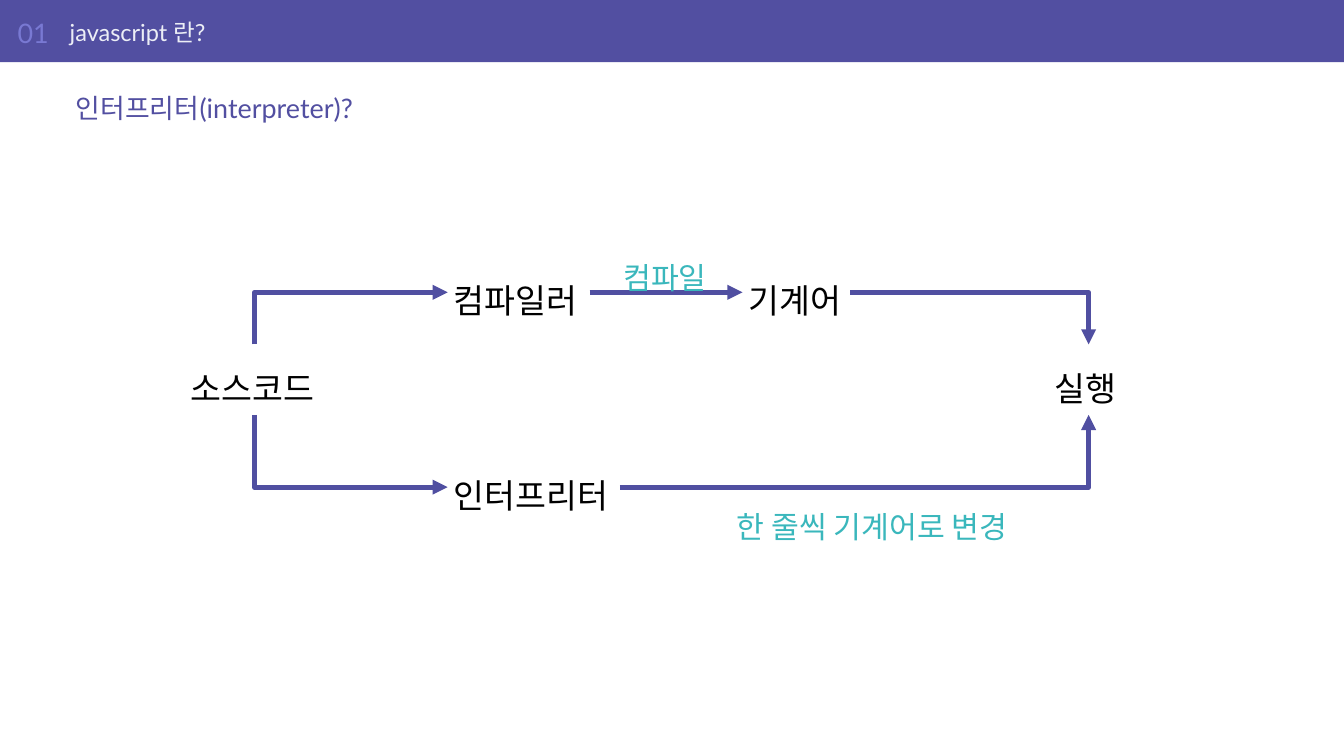
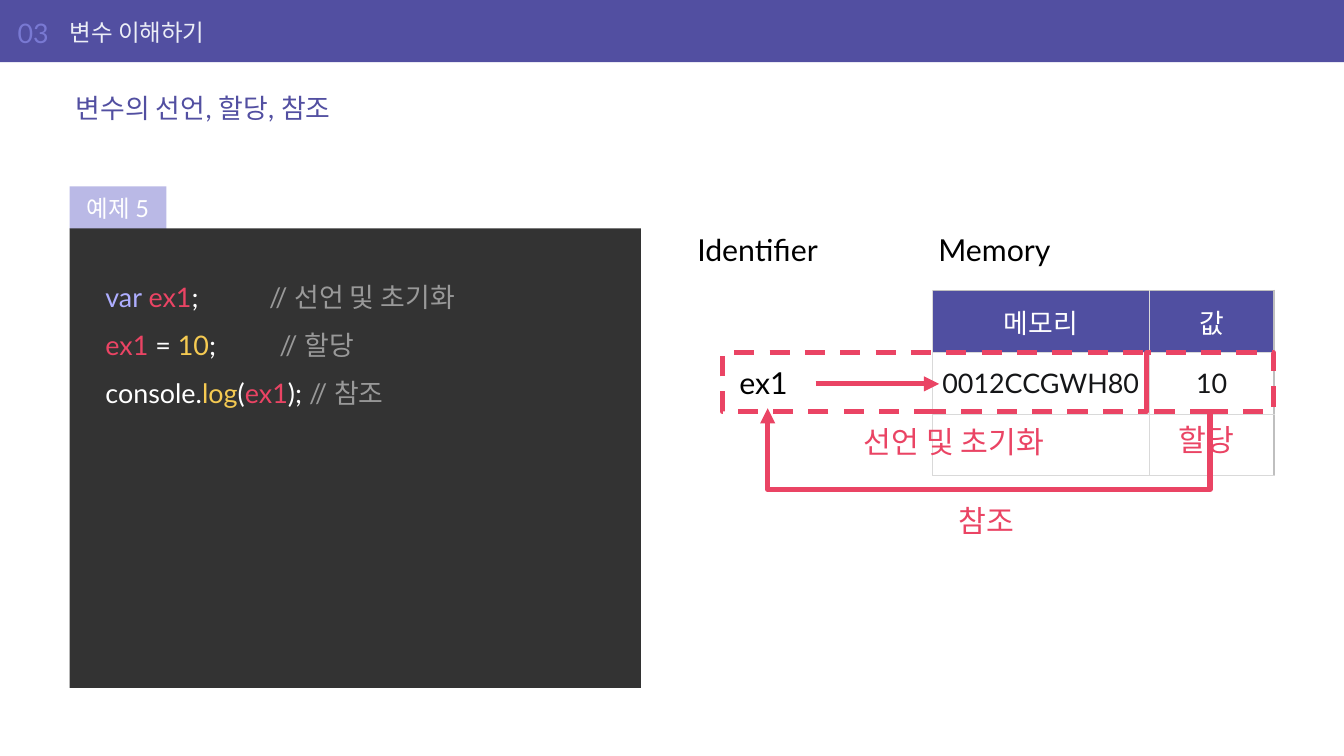
from dataclasses import dataclass

from lxml.etree import SubElement
from pptx import Presentation
from pptx.dml.color import RGBColor
from pptx.enum.dml import MSO_LINE
from pptx.enum.shapes import MSO_CONNECTOR, MSO_SHAPE
from pptx.enum.text import MSO_ANCHOR, PP_ALIGN
from pptx.oxml.ns import qn
from pptx.util import Pt


@dataclass(frozen=True)
class Theme:
    font: str = "Lato"
    band: str = "524FA1"
    flow: str = "504FA1"
    number: str = "7979D3"
    section: str = "ECEEF6"
    black: str = "000000"
    white: str = "FFFFFF"
    teal: str = "3AB7BC"
    red: str = "EA4464"
    tag: str = "BAB9E6"
    panel: str = "333333"
    keyword: str = "AEAEFF"
    value: str = "F5CA52"
    comment: str = "999999"
    cell: str = "151618"
    grid: str = "D9D9D9"
    edge: str = "BFBFBF"
    small: int = 28
    body: int = 32
    label: int = 36
    node: int = 40
    stroke: int = 6


theme = Theme()


def add_text(slide, box, text, size, color, fill=None, spacing=1.0,
             align=PP_ALIGN.LEFT, anchor=MSO_ANCHOR.TOP, inset=7.2):
    place = [Pt(length) for length in box]
    if fill:
        block = slide.shapes.add_shape(MSO_SHAPE.RECTANGLE, *place)
        block.shadow.inherit = False
        block.fill.solid()
        block.fill.fore_color.rgb = RGBColor.from_string(fill)
        block.line.fill.background()
    else:
        block = slide.shapes.add_textbox(*place)
    frame = block.text_frame
    frame.text = text
    frame.word_wrap = True
    frame.vertical_anchor = anchor
    frame.margin_left = Pt(inset)
    paragraph = frame.paragraphs[0]
    paragraph.alignment = align
    paragraph.line_spacing = spacing
    for run in paragraph.runs:
        run.font.name = theme.font
        run.font.size = Pt(size)
        run.font.color.rgb = RGBColor.from_string(color)
    return block


def add_arrow(slide, color, ends=(0, 0, 0, 0), joins=(), bend=None, adjust=None):
    kind = MSO_CONNECTOR.ELBOW if bend else MSO_CONNECTOR.STRAIGHT
    arrow = slide.shapes.add_connector(kind, *[Pt(length) for length in ends])
    if joins:
        arrow.begin_connect(*joins[0])
        arrow.end_connect(*joins[1])
    arrow.line.width = Pt(theme.stroke)
    arrow.line.color.rgb = RGBColor.from_string(color)
    outline = arrow.element.spPr
    SubElement(outline.find(qn("a:ln")), qn("a:tailEnd"), type="triangle")
    SubElement(outline, qn("a:effectLst"))
    if bend:
        geometry = outline.find(qn("a:prstGeom"))
        geometry.set("prst", bend)
        if adjust is not None:
            SubElement(geometry.find(qn("a:avLst")), qn("a:gd"),
                       name="adj1", fmla=f"val {adjust}")
        if joins[0][1] in (0, 2):
            rightward = arrow.end_x > arrow.begin_x
            upward = arrow.end_y < arrow.begin_y
            left, top, width, height = arrow.left, arrow.top, arrow.width, arrow.height
            arrow.left = left + (width - height) // 2
            arrow.top = top + (height - width) // 2
            arrow.width, arrow.height = height, width
            frame = outline.find(qn("a:xfrm"))
            frame.set("rot", "5400000")
            frame.set("flipH", str(int(upward)))
            frame.set("flipV", str(int(rightward)))
    return arrow


deck = Presentation()
deck.slide_width, deck.slide_height = Pt(1600), Pt(900)
layout = deck.slide_layouts[5]

headings = [
    ("01", "javascript 란?", "인터프리터(interpreter)?"),
    ("03", "변수 이해하기", "변수의 선언, 할당, 참조"),
]
for number, section, heading in headings:
    slide = deck.slides.add_slide(layout)
    title = slide.shapes.title
    title.left, title.top, title.width, title.height = Pt(83), Pt(101), Pt(1434), Pt(55)
    title.text_frame.text = heading
    title.text_frame.vertical_anchor = MSO_ANCHOR.MIDDLE
    title.text_frame.paragraphs[0].alignment = PP_ALIGN.LEFT
    title_font = title.text_frame.paragraphs[0].runs[0].font
    title_font.name = theme.font
    title_font.size = Pt(theme.body)
    title_font.color.rgb = RGBColor.from_string(theme.band)
    add_text(slide, (21, 11, 62, 55), number, theme.body, theme.number,
             anchor=MSO_ANCHOR.MIDDLE, inset=0)
    add_text(slide, (83, 11, 1352, 55), section, theme.small, theme.section,
             anchor=MSO_ANCHOR.MIDDLE, inset=0)

flow_slide, memory_slide = deck.slides

band = add_text(flow_slide, (-1, -1, 1602, 75), "", theme.small, theme.white, fill=theme.band)
band.element.xpath(".//p:cNvPr")[0].set("id", "90")
layout.shapes.element.insert(2, band.element)

source, compiler, machine_code, interpreter, execution = [
    add_text(flow_slide, (left, top, width, 84), text, theme.node, theme.black, spacing=1.5)
    for text, left, top, width in [
        ("소스코드", 220, 410, 166),
        ("컴파일러", 533, 306, 169),
        ("기계어", 884, 306, 128),
        ("인터프리터", 533, 538, 205),
        ("실행", 1248, 410, 96),
    ]
]
for begin, end, bend in [
    ((source, 0), (compiler, 1), "bentConnector2"),
    ((source, 2), (interpreter, 1), "bentConnector2"),
    ((compiler, 3), (machine_code, 1), None),
    ((machine_code, 3), (execution, 0), "bentConnector2"),
    ((interpreter, 3), (execution, 2), "bentConnector2"),
]:
    add_arrow(flow_slide, theme.flow, joins=(begin, end), bend=bend)
for text, box in [
    ("컴파일", (735, 284, 125, 84)),
    ("한 줄씩 기계어로 변경", (870, 580, 360, 84)),
]:
    add_text(flow_slide, box, text, theme.label, theme.teal, spacing=1.5)

add_text(memory_slide, (83, 222, 115, 51), "예제 5", theme.small, theme.white, fill=theme.tag,
         align=PP_ALIGN.CENTER, anchor=MSO_ANCHOR.MIDDLE)
code = add_text(memory_slide, (83, 272, 680, 547), "", theme.body, theme.white,
                fill=theme.panel, inset=42.5).text_frame
code.margin_top = code.margin_right = code.margin_bottom = Pt(42.5)
code_lines = [
    (195, [("var ", theme.keyword), ("ex1", theme.red), (";\t", theme.white),
           ("// 선언 및 초기화", theme.comment)]),
    (207, [("ex1", theme.red), (" = ", theme.white), ("10", theme.value),
           (";\t", theme.white), ("// 할당", theme.comment)]),
    (None, [("console.", theme.white), ("log", theme.value), ("(", theme.white),
            ("ex1", theme.red), ("); ", theme.white), ("// 참조", theme.comment)]),
]
for index, (tab, tokens) in enumerate(code_lines):
    line = code.add_paragraph() if index else code.paragraphs[0]
    line.alignment = PP_ALIGN.LEFT
    line.line_spacing = 1.5
    if tab:
        stops = SubElement(line._p.get_or_add_pPr(), qn("a:tabLst"))
        SubElement(stops, qn("a:tab"), pos=str(Pt(tab)), algn="l")
    for text, color in tokens:
        token = line.add_run()
        token.text = text
        token.font.name = theme.font
        token.font.size = Pt(theme.body)
        token.font.color.rgb = RGBColor.from_string(color)

rows = [("메모리", "값"), ("0012CCGWH80", "10"), ("", "")]
memory = memory_slide.shapes.add_table(3, 2, Pt(1110), Pt(346), Pt(407), Pt(220.2)).table
memory.first_row = memory.horz_banding = False
for column, width in zip(memory.columns, (258, 149)):
    column.width = Pt(width)
for row_index, values in enumerate(rows):
    memory.rows[row_index].height = Pt(73.4)
    header = row_index == 0
    for column_index, value in enumerate(values):
        cell = memory.cell(row_index, column_index)
        cell.text = value
        cell.vertical_anchor = MSO_ANCHOR.MIDDLE
        heavy_sides = {"lnT": header, "lnR": column_index == 1}
        for side in ("lnL", "lnR", "lnT", "lnB"):
            heavy = heavy_sides.get(side, False)
            border = SubElement(cell._tc.get_or_add_tcPr(), qn(f"a:{side}"),
                                w=str(Pt(2.25 if heavy else 1)))
            paint = SubElement(border, qn("a:solidFill"))
            SubElement(paint, qn("a:srgbClr"), val=theme.edge if heavy else theme.grid)
        cell.fill.solid()
        cell.fill.fore_color.rgb = RGBColor.from_string(theme.flow if header else theme.white)
        paragraph = cell.text_frame.paragraphs[0]
        paragraph.alignment = PP_ALIGN.CENTER
        for run in paragraph.runs:
            run.font.name = theme.font
            run.font.size = Pt(theme.body)
            run.font.color.rgb = RGBColor.from_string(theme.white if header else theme.cell)

for text, left in [("Memory", 1110), ("Identifier", 823)]:
    add_text(memory_slide, (left, 272, 187, 55), text, theme.label, theme.black)
identifier = add_text(memory_slide, (873, 430, 82, 56), "ex1", theme.label, theme.black)
add_arrow(memory_slide, theme.red, ends=(971, 457, 1118, 457))

for left, width in [(860, 505), (1365, 151)]:
    binding = memory_slide.shapes.add_shape(
        MSO_SHAPE.RECTANGLE, Pt(left), Pt(420), Pt(width), Pt(70))
    binding.shadow.inherit = False
    binding.fill.background()
    binding.line.width = Pt(theme.stroke)
    binding.line.color.rgb = RGBColor.from_string(theme.red)
    binding.line.dash_style = MSO_LINE.DASH
add_arrow(memory_slide, theme.red, joins=((binding, 2), (identifier, 2)),
          bend="bentConnector3", adjust=-2325000)

for text, box in [
    ("선언 및 초기화", (1021, 500, 250, 55)),
    ("할당", (1396, 498, 90, 55)),
    ("참조", (1134, 595, 187, 55)),
]:
    add_text(memory_slide, box, text, theme.label, theme.red)

deck.save("out.pptx")
